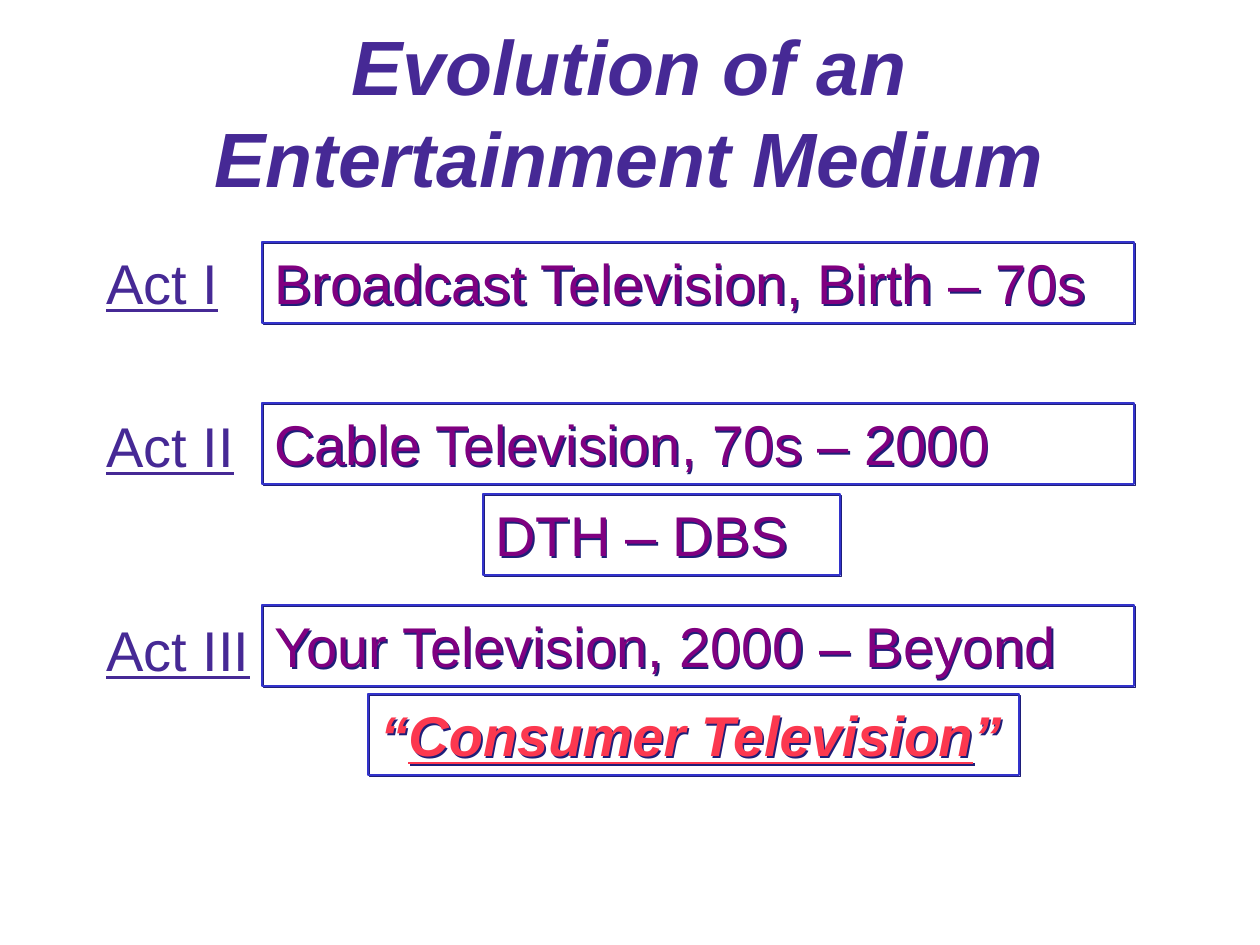
from dataclasses import dataclass

from lxml import etree
from pptx import Presentation
from pptx.dml.color import RGBColor
from pptx.enum.shapes import MSO_SHAPE
from pptx.enum.text import MSO_ANCHOR, PP_ALIGN
from pptx.oxml.ns import qn
from pptx.util import Emu, Pt

RECTANGLE = MSO_SHAPE.RECTANGLE
TOP, MIDDLE = MSO_ANCHOR.TOP, MSO_ANCHOR.MIDDLE
LEFT, CENTER = PP_ALIGN.LEFT, PP_ALIGN.CENTER
PX_PER_INCH = 126


@dataclass(frozen=True)
class Theme:
    font: str = "Arial"
    heading: str = "462995"
    era: str = "800080"
    highlight: str = "FC384F"
    border: str = "3333CC"
    shadow: str = "1E1E79"
    title_size: int = 44
    body_size: int = 32


THEME = Theme()
ERA_HEIGHT = 81
ACT_ERAS = [
    ("Broadcast Television, Birth – 70s", 242),
    ("Cable Television, 70s – 2000", 403),
    ("Your Television, 2000 – Beyond", 605),
]
ACT_LABELS = [("Act I", 0), ("Act II", 55), ("Act III", 78)]


def px(length):
    return Emu(length * 914400 // PX_PER_INCH)


def place(*lengths):
    return [px(length) for length in lengths]


def format_run(run, color, size=THEME.body_size, emphasis=False, underline=False):
    font = run.font
    font.name = THEME.font
    font.size = Pt(size)
    font.color.rgb = RGBColor.from_string(color)
    font.bold = font.italic = emphasis
    font.underline = underline


def add_title(slide, text):
    title = slide.shapes.title
    title.left, title.top, title.width, title.height = place(94, 32, 1071, 157)
    frame = title.text_frame
    frame.text = text
    frame.word_wrap = True
    frame.vertical_anchor = MIDDLE
    heading = frame.paragraphs[0]
    heading.alignment = CENTER
    format_run(heading.runs[0], THEME.heading, THEME.title_size, emphasis=True)


def add_act_labels(slide):
    frame = slide.shapes.add_textbox(*place(94, 242, 1071, 567)).text_frame
    frame.word_wrap = True
    frame.vertical_anchor = TOP
    frame.text = "\n".join(label for label, _ in ACT_LABELS)
    for paragraph, (_, gap) in zip(frame.paragraphs, ACT_LABELS):
        paragraph.space_before = Pt(gap)
        format_run(paragraph.runs[0], THEME.heading, underline=True)


def add_hard_shadow(shape):
    effects = etree.SubElement(shape.element.spPr, qn("a:effectLst"))
    shadow = etree.SubElement(
        effects, qn("a:outerShdw"), dist=str(Pt(1.4)), dir="2700000",
        algn="ctr", rotWithShape="0",
    )
    etree.SubElement(shadow, qn("a:srgbClr"), val=THEME.shadow)


def add_era(slide, text, left, top, width):
    era = slide.shapes.add_shape(RECTANGLE, *place(left, top, width, ERA_HEIGHT))
    era.fill.background()
    era.line.color.rgb = RGBColor.from_string(THEME.border)
    era.line.width = Pt(0.75)
    add_hard_shadow(era)
    frame = era.text_frame
    frame.text = text
    frame.word_wrap = True
    frame.vertical_anchor = MIDDLE
    paragraph = frame.paragraphs[0]
    paragraph.alignment = LEFT
    format_run(paragraph.runs[0], THEME.era)
    return paragraph


def add_quoted_era(slide, phrase, left, top, width):
    paragraph = add_era(slide, "“", left, top, width)
    for text in (phrase, "”"):
        paragraph.add_run().text = text
    for run in paragraph.runs:
        format_run(run, THEME.highlight, emphasis=True, underline=run.text == phrase)


def main():
    presentation = Presentation()
    presentation.slide_width, presentation.slide_height = place(1260, 945)
    slide = presentation.slides.add_slide(presentation.slide_layouts[5])
    add_title(slide, "Evolution of an Entertainment Medium")
    add_act_labels(slide)
    for text, top in ACT_ERAS:
        add_era(slide, text, 262, top, 872)
    add_era(slide, "DTH – DBS", 483, 494, 357)
    add_quoted_era(slide, "Consumer Television", 368, 694, 651)
    presentation.save("out.pptx")


if __name__ == "__main__":
    main()
